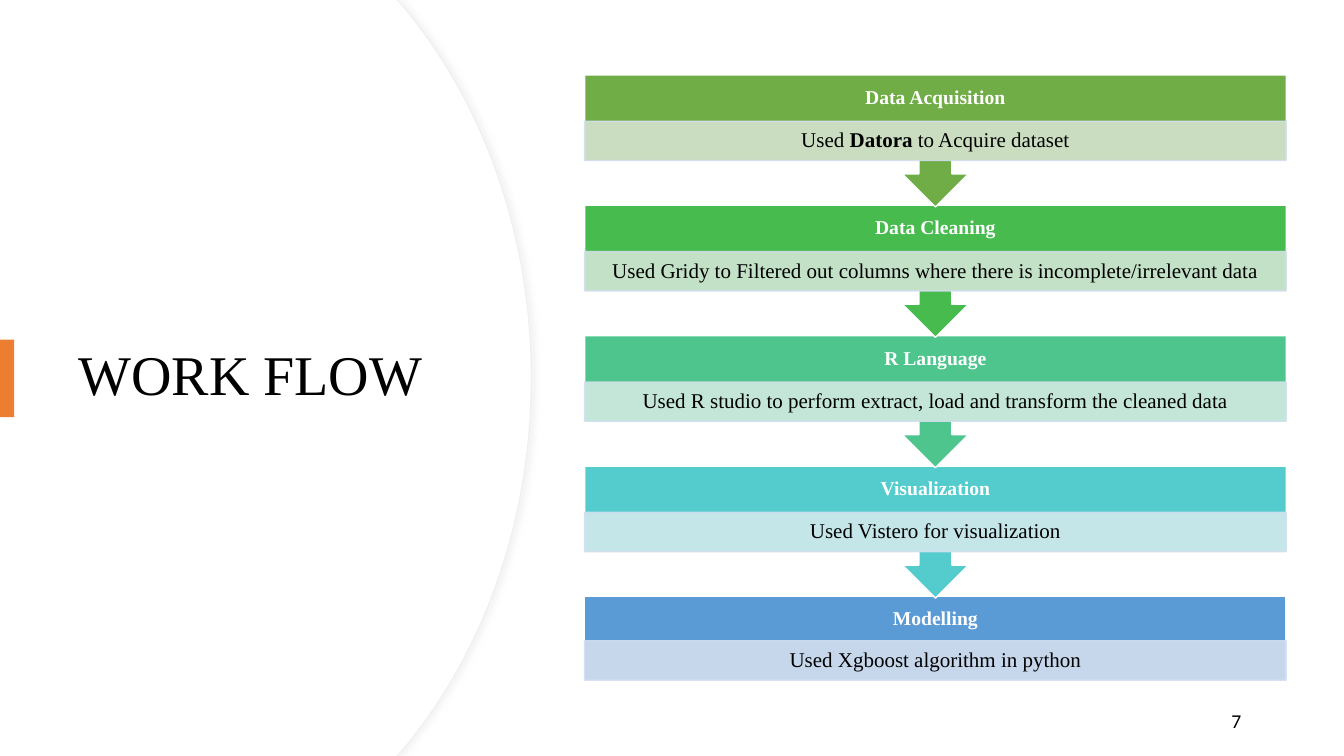
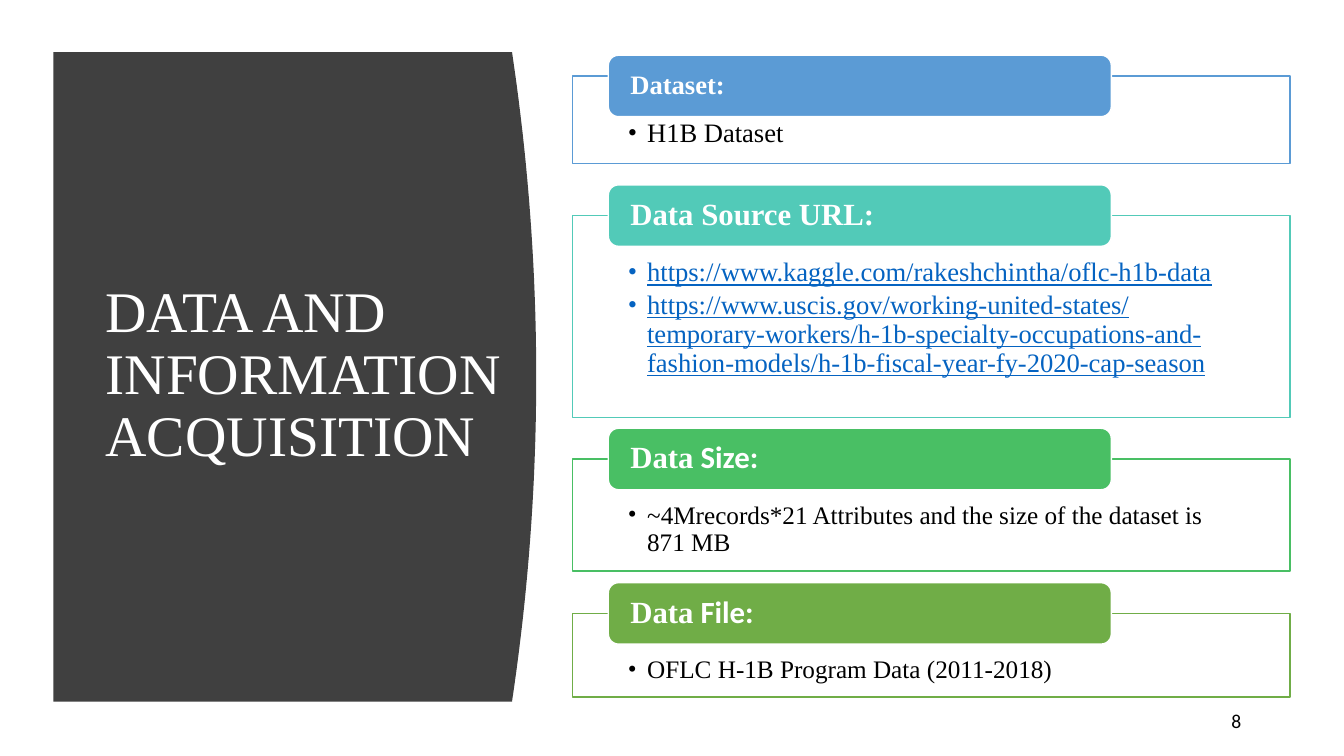
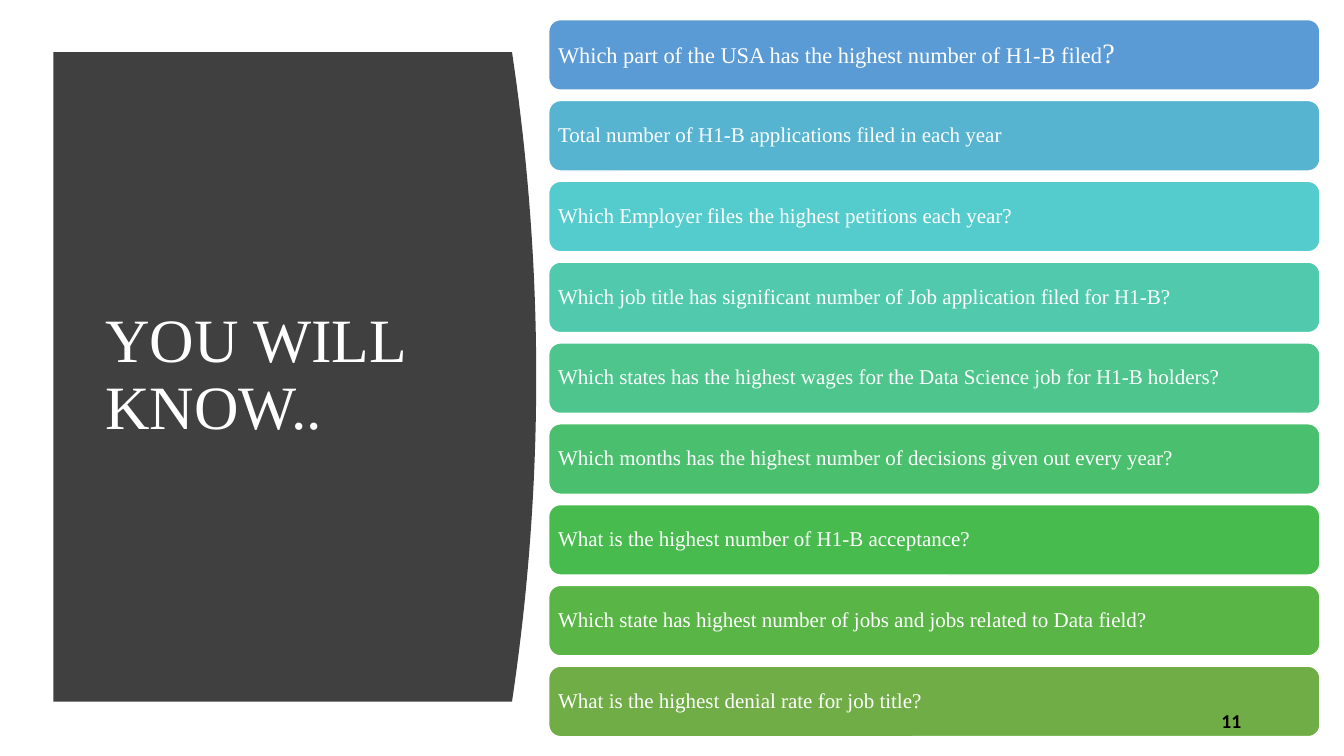
from dataclasses import dataclass, replace

from lxml import etree
from pptx import Presentation
from pptx import util as u
from pptx.dml.color import RGBColor
from pptx.enum import shapes, text
from pptx.oxml import ns


@dataclass(frozen=True)
class Style:
    """Look of a run of text."""
    size: int
    color: str = "000000"
    bold: bool = False
    underline: bool = False
    font: str = "Times New Roman"


class Theme:
    """Colours, type styles and sizes shared by the slides."""
    width, height = u.Inches(13.33), u.Inches(7.5)
    white, panel, accent = "FFFFFF", "404040", "ED7D31"
    pale_line, soft_line, shadow = "EFEFEF", "D2DEEF", "D9D9D9"
    blue, sky, aqua, turquoise = "5B9BD5", "57B4D1", "54CCCD", "51C9AD"
    teal, mint, jade, emerald = "52CAB8", "4DC58D", "4AC06E", "49BF64"
    green, leaf, olive = "48BB4F", "59B546", "70AD47"
    step_head = Style(14, white, bold=True)
    body = Style(15)
    answer = Style(19)
    small_answer = Style(18)
    link = Style(19, "0563C1", underline=True)
    small_tag = Style(19, white, bold=True)
    tag = Style(22, white, bold=True)
    tag_sans = replace(tag, font="Calibri")
    question = Style(15, white)
    number = Style(14, font="Calibri")


def across(percent):
    """Convert a share of the slide's width to a length."""
    return u.Emu(round(Theme.width * percent / 100))


def down(percent):
    """Convert a share of the slide's height to a length."""
    return u.Emu(round(Theme.height * percent / 100))


def place(left, top, width, height):
    """Convert a box in percent of the slide to lengths."""
    return across(left), down(top), across(width), down(height)


def set_alpha(fill_parent, percent):
    """Make the solid colour below an element partly transparent."""
    color = fill_parent.find(ns.qn("a:solidFill"))[0]
    etree.SubElement(color, ns.qn("a:alpha"), val=str(percent * 1000))


def paint(shape, fill, line=None, alpha=100, line_alpha=100, line_width=1):
    """Set fill and outline of a shape and drop its shadow."""
    shape.shadow.inherit = False
    shape.fill.solid()
    shape.fill.fore_color.rgb = RGBColor.from_string(fill)
    if alpha < 100:
        set_alpha(shape.element.spPr, alpha)
    if line is None:
        shape.line.fill.background()
        return
    shape.line.color.rgb = RGBColor.from_string(line)
    shape.line.width = u.Pt(line_width)
    if line_alpha < 100:
        set_alpha(shape.element.spPr.find(ns.qn("a:ln")), line_alpha)


def add_box(slide, kind, box, fill, line=None, **options):
    """Add a painted preset shape."""
    shape = slide.shapes.add_shape(kind, *place(*box))
    paint(shape, fill, line, **options)
    return shape


def add_outline(slide, points, fill, line=None, **options):
    """Add a closed freeform through points in percent of the slide."""
    corners = [(across(x), down(y)) for x, y in points]
    builder = slide.shapes.build_freeform(*corners[0])
    builder.add_line_segments(corners[1:])
    shape = builder.convert_to_shape()
    paint(shape, fill, line, **options)
    return shape


def bend(shape, starts):
    """Turn three segments from each start into one cubic curve."""
    segments = list(shape.element.iter(ns.qn("a:lnTo")))
    for start in starts:
        first, *others = segments[start:start + 3]
        first.tag = ns.qn("a:cubicBezTo")
        for segment in others:
            first.append(segment[0])
            segment.getparent().remove(segment)


def style_run(run, style):
    """Apply a style to a run."""
    font = run.font
    font.name, font.size = style.font, u.Pt(style.size)
    font.bold, font.underline = style.bold, style.underline
    font.color.rgb = RGBColor.from_string(style.color)


def add_bullet(paragraph, typeface):
    """Give a paragraph a hanging bullet."""
    properties = paragraph._p.get_or_add_pPr()
    properties.set("marL", str(u.Inches(0.19)))
    properties.set("indent", str(u.Inches(-0.19)))
    etree.SubElement(properties, ns.qn("a:buFont"), typeface=typeface)
    etree.SubElement(properties, ns.qn("a:buChar"), char="•")


def write(shape, lines, align="LEFT", anchor="MIDDLE", insets=(0.1, 0.05, 0.1, 0.05),
          bullets=False, spacing=0.9):
    """Write lines, each a list of text and style pairs, into a shape."""
    frame = shape.text_frame
    frame.word_wrap = True
    frame.auto_size = text.MSO_AUTO_SIZE.NONE
    frame.vertical_anchor = text.MSO_ANCHOR[anchor]
    (frame.margin_left, frame.margin_top,
     frame.margin_right, frame.margin_bottom) = map(u.Inches, insets)
    for index, pieces in enumerate(lines):
        paragraph = frame.add_paragraph() if index else frame.paragraphs[0]
        if bullets:
            add_bullet(paragraph, pieces[0][1].font)
            paragraph.space_after = u.Pt(3)
        paragraph.alignment = text.PP_ALIGN[align]
        paragraph.line_spacing = spacing
        for words, style in pieces:
            run = paragraph.add_run()
            run.text = words
            style_run(run, style)


def add_slide(presentation):
    """Add a title-only slide."""
    return presentation.slides.add_slide(presentation.slide_layouts[5])


def set_title(slide, words, box, style):
    """Place and format the title in front of the panel."""
    title = slide.shapes.title
    title.left, title.top, title.width, title.height = place(*box)
    title.element.getparent().append(title.element)
    write(title, [[(words, style)]])


def add_number(slide, number, bold=False):
    """Add the slide number at the lower right."""
    box = slide.shapes.add_textbox(*place(70.6, 92.67, 22.5, 5.33))
    write(box, [[(number, replace(Theme.number, bold=bold))]], "RIGHT", spacing=1)


def add_shadow(shape):
    """Give a shape a soft shadow to its right."""
    effects = shape.element.spPr.find(ns.qn("a:effectLst"))
    shadow = etree.SubElement(effects, ns.qn("a:outerShdw"), blurRad=str(u.Pt(4)),
                              dist=str(u.Pt(3)), dir="0", algn="l", rotWithShape="0")
    color = etree.SubElement(shadow, ns.qn("a:srgbClr"), val=Theme.shadow)
    etree.SubElement(color, ns.qn("a:alpha"), val="30000")


def add_white_panel(slide):
    """Add the white panel with a round, softly shaded right side."""
    upper = [(0, 0), (29.55, 0), (30.08, 1.07), (35.93, 13.6), (39.53, 30.93), (39.53, 50)]
    outline = upper + [(x, 100 - y) for x, y in reversed(upper[:-1])]
    inner = [(max(0, x - 0.07), y) for x, y in outline]
    rim = add_outline(slide, outline, Theme.white, Theme.pale_line, line_width=0.75)
    add_shadow(rim)
    face = add_outline(slide, inner, Theme.white)
    for shape in (rim, face):
        bend(shape, (2, 5))


def add_dark_panel(slide):
    """Add the dark panel with a bulging right side."""
    left, top, bottom, edge, bulge, steps = 3.98, 6.9, 92.8, 38.1, 1.8, 40
    curve = [(edge + bulge * (1 - (2 * step / steps - 1) ** 2),
              top + (bottom - top) * step / steps) for step in range(steps + 1)]
    add_outline(slide, [(left, top), *curve, (left, bottom)], Theme.panel)


def add_step(slide, top, heading, pieces, color, tint, last):
    """Add a workflow step, with an arrow to the next unless it is last."""
    left, width, head_height = 43.5, 52.2, 6.13
    kind = shapes.MSO_SHAPE.RECTANGLE if last else shapes.MSO_SHAPE.UP_ARROW_CALLOUT
    block = add_box(slide, kind, (left, top, width, 11.2 if last else 17.47),
                    color, Theme.white)
    block.rotation = 0 if last else 180
    head = slide.shapes.add_textbox(*place(left, top, width, head_height))
    write(head, [[(heading, Theme.step_head)]], "CENTER", insets=(0.11,) * 4)
    detail_top = top + (5.87 if last else head_height)
    detail = add_box(slide, shapes.MSO_SHAPE.RECTANGLE, (left, detail_top, width, 5.2),
                     tint, Theme.soft_line, alpha=90, line_alpha=90)
    write(detail, [pieces], "CENTER", insets=(0.12, 0.02, 0.12, 0.02))


def add_fact(slide, top, rise, height, color, tag_pieces, lines):
    """Add a framed list with a tag over its upper edge."""
    frame = add_box(slide, shapes.MSO_SHAPE.RECTANGLE, (42.6, top + rise, 53.4, height),
                    Theme.white, color, alpha=90)
    write(frame, lines, anchor="TOP", insets=(0.55, 0.43, 0.55, 0.15), bullets=True)
    tag = add_box(slide, shapes.MSO_SHAPE.ROUNDED_RECTANGLE, (45.26, top, 37.43, 8.13),
                  color, Theme.white)
    write(tag, [tag_pieces], insets=(0.19, 0, 0.19, 0))


def add_question(slide, row, pieces, color):
    """Add one question bar."""
    bar = add_box(slide, shapes.MSO_SHAPE.ROUNDED_RECTANGLE,
                  (40.83, 2.6 + 10.69 * row, 57.38, 9.33), color, Theme.white)
    write(bar, [pieces], insets=(0.06,) * 4)


def build_workflow(presentation):
    """Build the workflow slide."""
    slide = add_slide(presentation)
    add_white_panel(slide)
    set_title(slide, "WORK FLOW", (5.1, 16.93, 29.55, 66), Style(40))
    add_box(slide, shapes.MSO_SHAPE.RECTANGLE, (0, 44.93, 1.05, 10.27), Theme.accent)
    body = Theme.body
    steps = [
        ("Data Acquisition", [("Used ", body), ("Datora", replace(body, bold=True)),
                              (" to Acquire dataset", body)], Theme.olive, "D5E3CF"),
        ("Data Cleaning", [("Used Gridy to Filtered out columns where there is "
                            "incomplete/irrelevant data", body)], Theme.green, "D0E6D4"),
        ("R Language", [("Used R studio to perform extract, load and transform "
                         "the cleaned data", body)], Theme.mint, "D0EAE1"),
        ("Visualization", [("Used Vistero for visualization", body)], Theme.aqua, "D1E9ED"),
        ("Modelling", [("Used Xgboost algorithm in python", body)],
         Theme.blue, Theme.soft_line),
    ]
    for row, step in reversed(list(enumerate(steps))):
        add_step(slide, 9.9 + 17.25 * row, *step, last=row == len(steps) - 1)
    add_number(slide, "7")


def build_data(presentation):
    """Build the data acquisition slide."""
    slide = add_slide(presentation)
    add_dark_panel(slide)
    set_title(slide, "DATA AND INFORMATION ACQUISITION", (7.1, 14.8, 31.58, 69.87),
              Style(41, Theme.white))
    facts = [
        (7.3, 2.78, 11.55, Theme.blue, [("Dataset:", Theme.small_tag)],
         [[("H1B Dataset", Theme.answer)]]),
        (24.45, 4.07, 26.67, Theme.teal, [("Data Source URL:", Theme.tag)],
         [[("https://www.kaggle.com/rakeshchintha/oflc-h1b-data", Theme.link)],
          [("https://www.uscis.gov/working-united-states/temporary-workers/"
            "h-1b-specialty-occupations-and-fashion-models/"
            "h-1b-fiscal-year-fy-2020-cap-season", Theme.link)]]),
        (56.65, 4.07, 14.8, Theme.emerald, [("Data", Theme.tag), (" Size:", Theme.tag_sans)],
         [[("~4Mrecords*21 Attributes and the size of the dataset is 871 MB",
            Theme.small_answer)]]),
        (77.07, 4.07, 11.07, Theme.olive, [("Data", Theme.tag), (" File:", Theme.tag_sans)],
         [[("OFLC H-1B Program Data (2011-2018)", Theme.small_answer)]]),
    ]
    for fact in facts:
        add_fact(slide, *fact)
    add_number(slide, "8")


def build_questions(presentation):
    """Build the slide of questions."""
    slide = add_slide(presentation)
    add_dark_panel(slide)
    set_title(slide, "YOU WILL KNOW..", (7.1, 14.8, 28.05, 69.87), Style(44, Theme.white))
    first = [("Which part of the USA has the highest number of H1-B filed",
              replace(Theme.question, size=16)), ("?", replace(Theme.question, size=20))]
    others = [
        "Total number of H1-B applications filed in each year",
        "Which Employer files the highest petitions each year?",
        "Which job title has significant number of Job application filed for H1-B?",
        "Which states has the highest wages for the Data Science job for H1-B holders?",
        "Which months has the highest number of decisions given out every year?",
        "What is the highest number of H1-B acceptance?",
        "Which state has highest number of jobs and jobs related to Data field?",
        "What is the highest denial rate for job title?",
    ]
    colors = [Theme.blue, Theme.sky, Theme.aqua, Theme.turquoise, Theme.mint,
              Theme.jade, Theme.green, Theme.leaf, Theme.olive]
    questions = [first] + [[(words, Theme.question)] for words in others]
    for row, (pieces, color) in enumerate(zip(questions, colors)):
        add_question(slide, row, pieces, color)
    add_number(slide, "11", bold=True)


def main():
    """Build and save the presentation."""
    presentation = Presentation()
    presentation.slide_width, presentation.slide_height = Theme.width, Theme.height
    build_workflow(presentation)
    build_data(presentation)
    build_questions(presentation)
    presentation.save("out.pptx")


if __name__ == "__main__":
    main()
